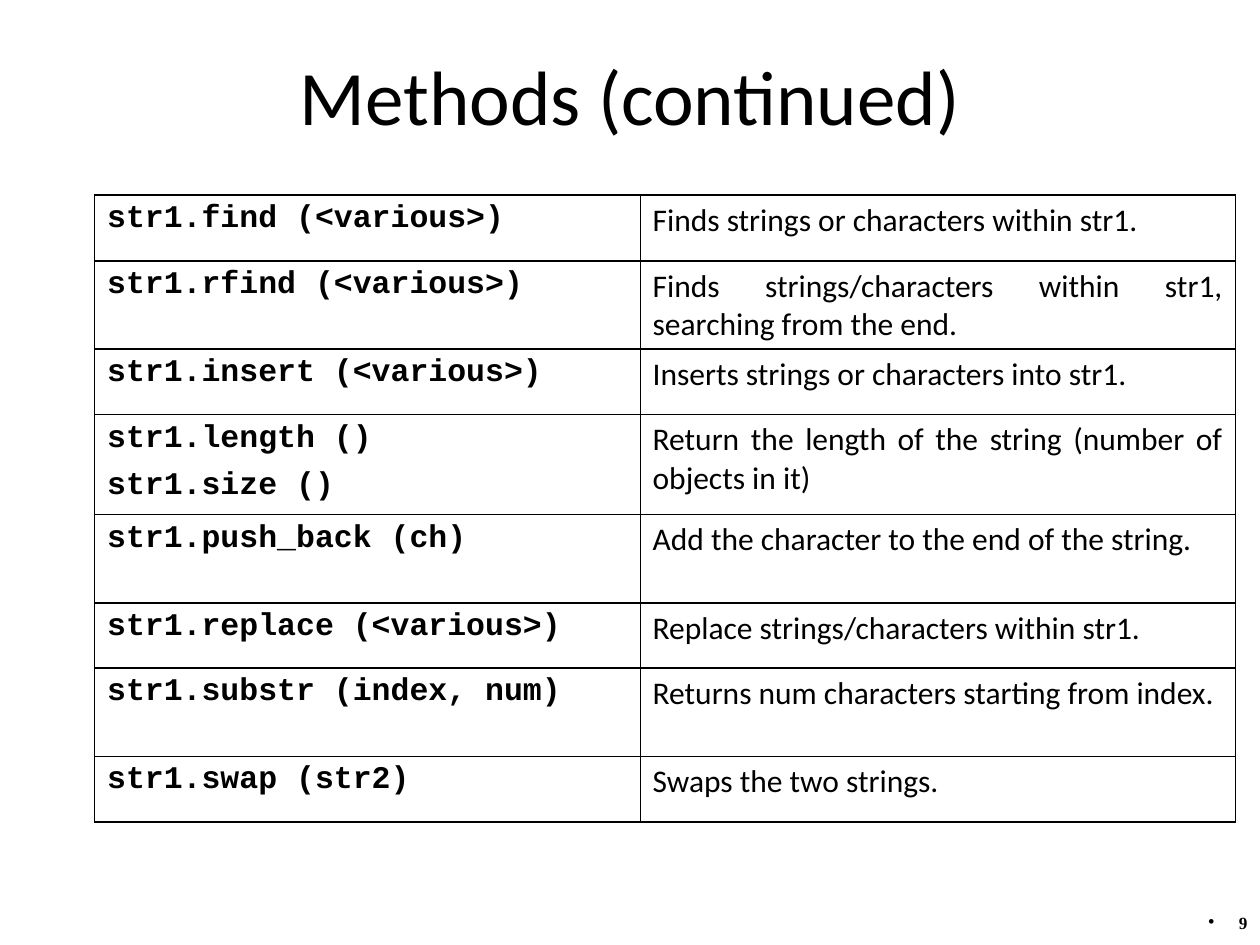
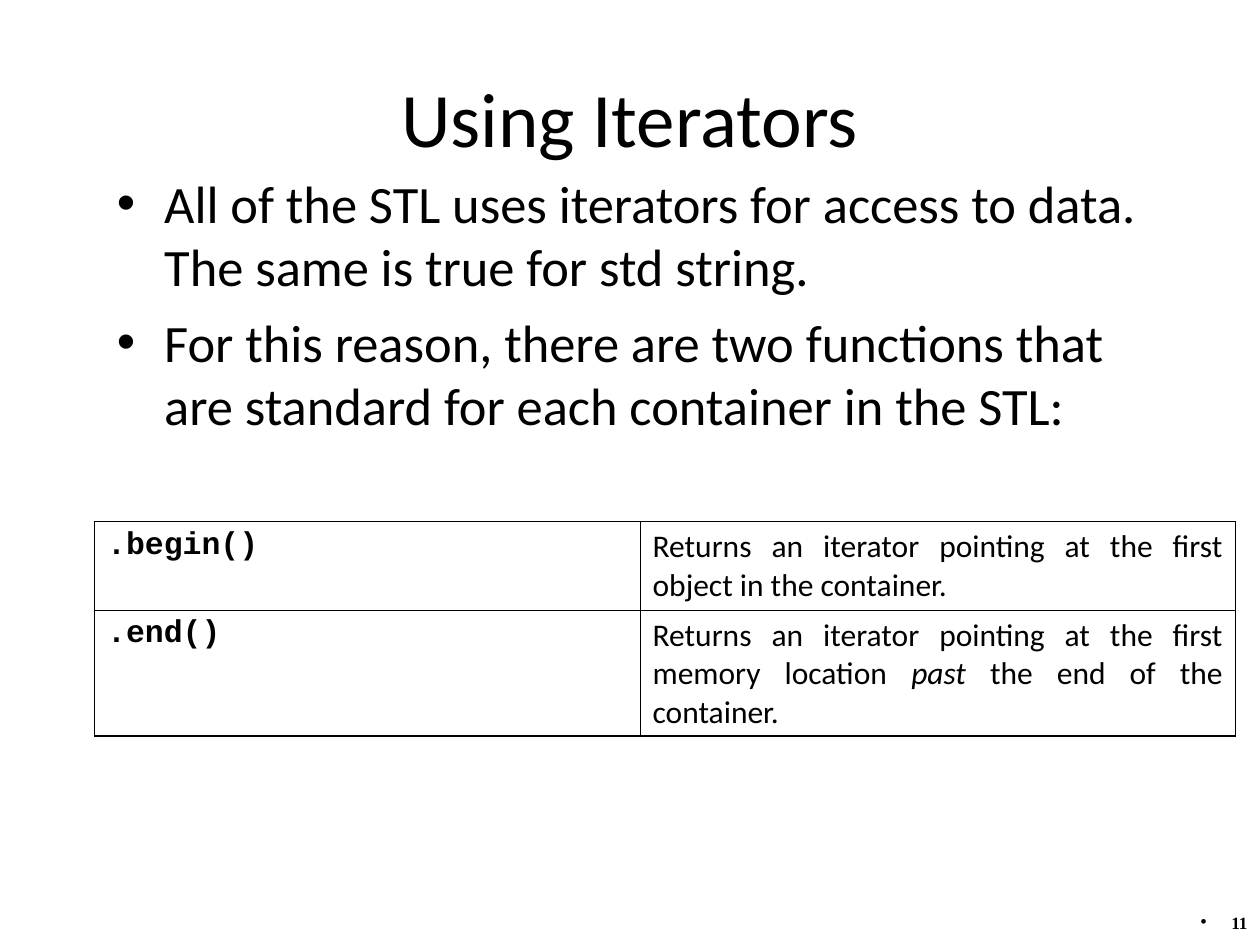
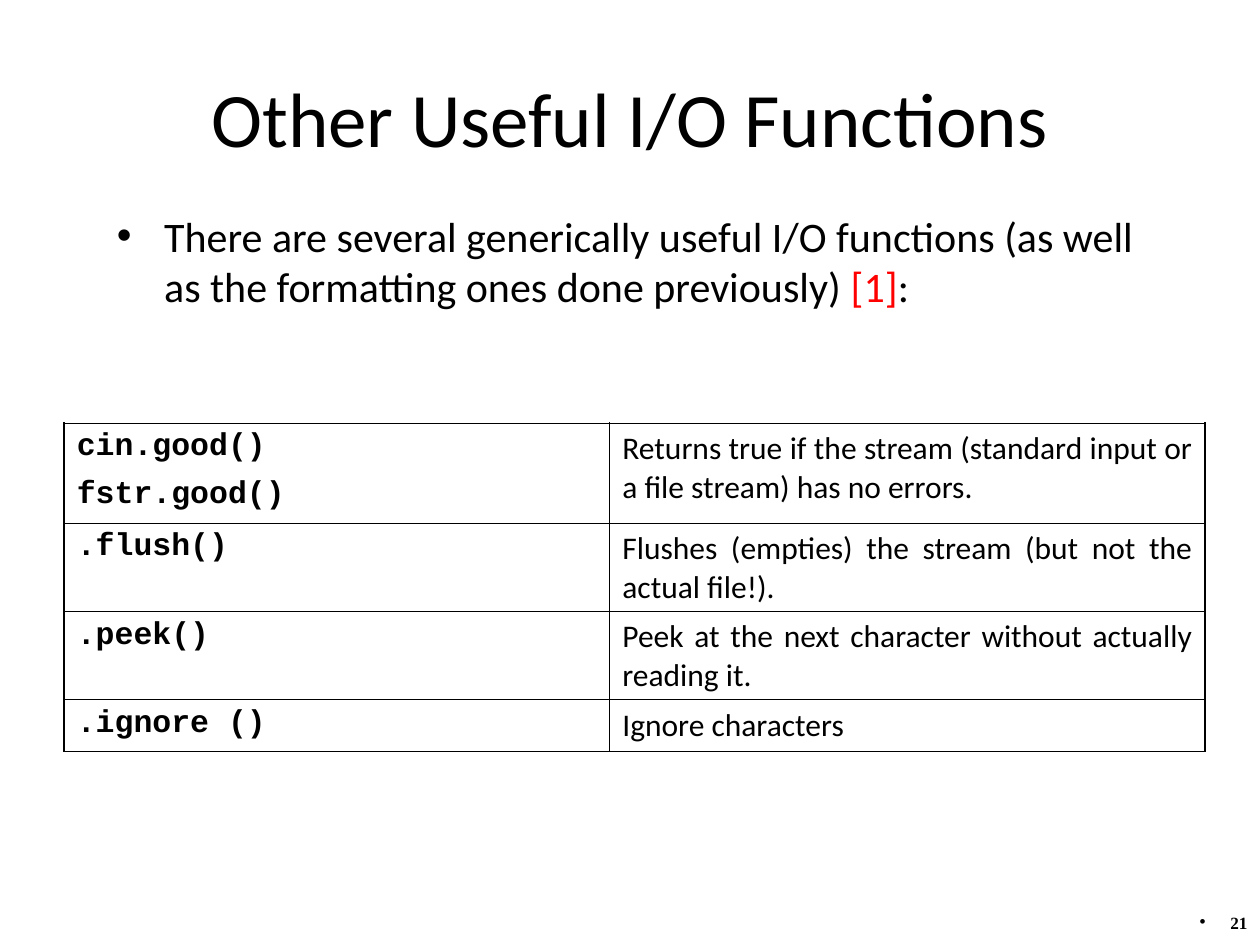
import dataclasses

import lxml.etree
import pptx
import pptx.dml.color
import pptx.enum.text
import pptx.oxml
import pptx.oxml.ns
import pptx.util

Pt = pptx.util.Pt
Align = pptx.enum.text.PP_ALIGN
qn = pptx.oxml.ns.qn


@dataclasses.dataclass(frozen=True)
class Theme:
    ink: str = "000000"
    red: str = "FF0000"
    body: str = "Calibri"
    code: str = "Courier New"
    serif: str = "Times New Roman"
    title: float = 44
    cell: float = 18
    page: float = 9.8
    thick: float = 1.08
    thin: float = 0.45
    cols: int = 20
    rows: int = 15


theme = Theme()
deck = pptx.Presentation()
deck.slide_width = pptx.util.Inches(10)
deck.slide_height = pptx.util.Inches(7.5)


def wide(count):
    return round(deck.slide_width * count / theme.cols)


def high(count):
    return round(deck.slide_height * count / theme.rows)


def place(box):
    left, top, width, height = box
    return wide(left), high(top), wide(width), high(height)


def style(run, size, face, bold=False, slant=False, color=theme.ink):
    font = run.font
    font.size = Pt(size)
    font.name = face
    font.bold = bold
    font.italic = slant
    font.color.rgb = pptx.dml.color.RGBColor.from_string(color)


def write(para, parts, size, face, bold=False):
    if isinstance(parts, str):
        parts = [(parts, {})]
    for text, extra in parts:
        run = para.add_run()
        run.text = text
        style(run, size, face, bold, **extra)


def bullet(para, indent):
    props = para._p.get_or_add_pPr()
    props.set("marL", str(wide(indent)))
    props.set("indent", str(-wide(indent)))
    tint = lxml.etree.SubElement(props, qn("a:buClr"))
    lxml.etree.SubElement(tint, qn("a:srgbClr"), val=theme.ink)
    lxml.etree.SubElement(props, qn("a:buFont"), typeface="Arial")
    lxml.etree.SubElement(props, qn("a:buChar"), char="•")


def frame(slide, box):
    text = slide.shapes.add_textbox(*place(box)).text_frame
    text.word_wrap = True
    return text


def title(slide, box, words):
    text = frame(slide, box)
    text.vertical_anchor = pptx.enum.text.MSO_ANCHOR.MIDDLE
    para = text.paragraphs[0]
    para.alignment = Align.CENTER
    write(para, words, theme.title, theme.body)


def points(slide, box, items, size):
    text = frame(slide, box)
    for index, item in enumerate(items):
        para = text.add_paragraph() if index else text.paragraphs[0]
        para.space_before = Pt(size / 4)
        bullet(para, 0.75)
        write(para, item, size, theme.body)


def footer(slide, box, number):
    para = frame(slide, box).paragraphs[0]
    para.alignment = Align.RIGHT
    para.line_spacing = 0.8
    para.space_before = Pt(3.5)
    bullet(para, 0.42)
    write(para, f" {number}", theme.page, theme.serif, True)


def border(cell, sides):
    props = cell._tc.get_or_add_tcPr()
    for index, (side, width) in enumerate(sides.items()):
        line = pptx.oxml.parse_xml(
            f'<a:ln{side} {pptx.oxml.ns.nsdecls("a")} w="{int(Pt(width))}">'
            f'<a:solidFill><a:srgbClr val="{theme.ink}"/></a:solidFill>'
            f'</a:ln{side}>'
        )
        props.insert(index, line)


def fill(cell, lines, face, bold):
    cell.fill.background()
    text = cell.text_frame
    for index, line in enumerate(lines):
        para = text.add_paragraph() if index else text.paragraphs[0]
        para.alignment = Align.JUSTIFY
        para.space_before = Pt(4.5)
        para.space_after = Pt(2.2)
        write(para, line, theme.cell, face, bold)


def methods(slide, spot, rows, rule):
    widths = (8.66, 9.45)
    total = sum(row[0] for row in rows)
    box = (*spot, sum(widths), total)
    grid = slide.shapes.add_table(len(rows), 2, *place(box)).table
    grid.first_row = False
    grid.horz_banding = False
    for column, width in zip(grid.columns, widths):
        column.width = wide(width)
    last = len(rows) - 1
    for index, (height, code, note) in enumerate(rows):
        grid.rows[index].height = high(height)
        fill(grid.cell(index, 0), code, theme.code, True)
        fill(grid.cell(index, 1), [note], theme.body, False)
        for col in range(2):
            border(grid.cell(index, col), {
                "L": theme.thin if col else theme.thick,
                "R": theme.thick if col else theme.thin,
                "T": rule if index else theme.thick,
                "B": rule if index < last else theme.thick,
            })


def page(words, number, top=0.6):
    slide = deck.slides.add_slide(deck.slide_layouts[6])
    title(slide, (1, top, 18, 2.5), words)
    footer(slide, (18.72, 14.44, 1.28, 0.56), number)
    return slide


slide = page("Methods (continued)", 9, 0.26)
methods(slide, (1.5, 3.1), [
    (1.04, ["str1.find (<various>)"],
     "Finds strings or characters within str1."),
    (1.4, ["str1.rfind (<various>)"],
     "Finds strings/characters within str1, searching from the end."),
    (1.04, ["str1.insert (<various>)"],
     "Inserts strings or characters into str1."),
    (1.58, ["str1.length ()", "str1.size ()"],
     "Return the length of the string (number of objects in it)"),
    (1.4, ["str1.push_back (ch)"],
     "Add the character to the end of the string."),
    (1.04, ["str1.replace (<various>)"],
     "Replace strings/characters within str1."),
    (1.4, ["str1.substr (index, num)"],
     "Returns num characters starting from index."),
    (1.04, ["str1.swap (str2)"], "Swaps the two strings."),
], theme.thick)

slide = page("Using Iterators", 11)
points(slide, (1.66, 2.62, 17, 4.88), [
    "All of the STL uses iterators for access to data. "
    "The same is true for std string.",
    "For this reason, there are two functions that are standard "
    "for each container in the STL:",
], 30)
methods(slide, (1.5, 8.28), [
    (1.4, [".begin()"],
     "Returns an iterator pointing at the first object in the container."),
    (2, [".end()"],
     [("Returns an iterator pointing at the first memory location ", {}),
      ("past", {"slant": True}),
      (" the end of the container.", {})]),
], theme.thin)

slide = page("Other Useful I/O Functions", 21)
points(slide, (1.66, 3.24, 17, 2.2), [
    [("There are several generically useful I/O functions "
      "(as well as the formatting ones done previously) ", {}),
     ("[1]", {"color": theme.red}),
     (":", {})],
], 24)
methods(slide, (1.02, 6.72), [
    (1.58, ["cin.good()", "fstr.good()"],
     "Returns true if the stream (standard input or a file stream) "
     "has no errors."),
    (1.4, [".flush()"],
     "Flushes (empties) the stream (but not the actual file!)."),
    (1.4, [".peek()"],
     "Peek at the next character without actually reading it."),
    (0.82, [".ignore ()"], "Ignore characters"),
], theme.thin)

deck.save("out.pptx")
